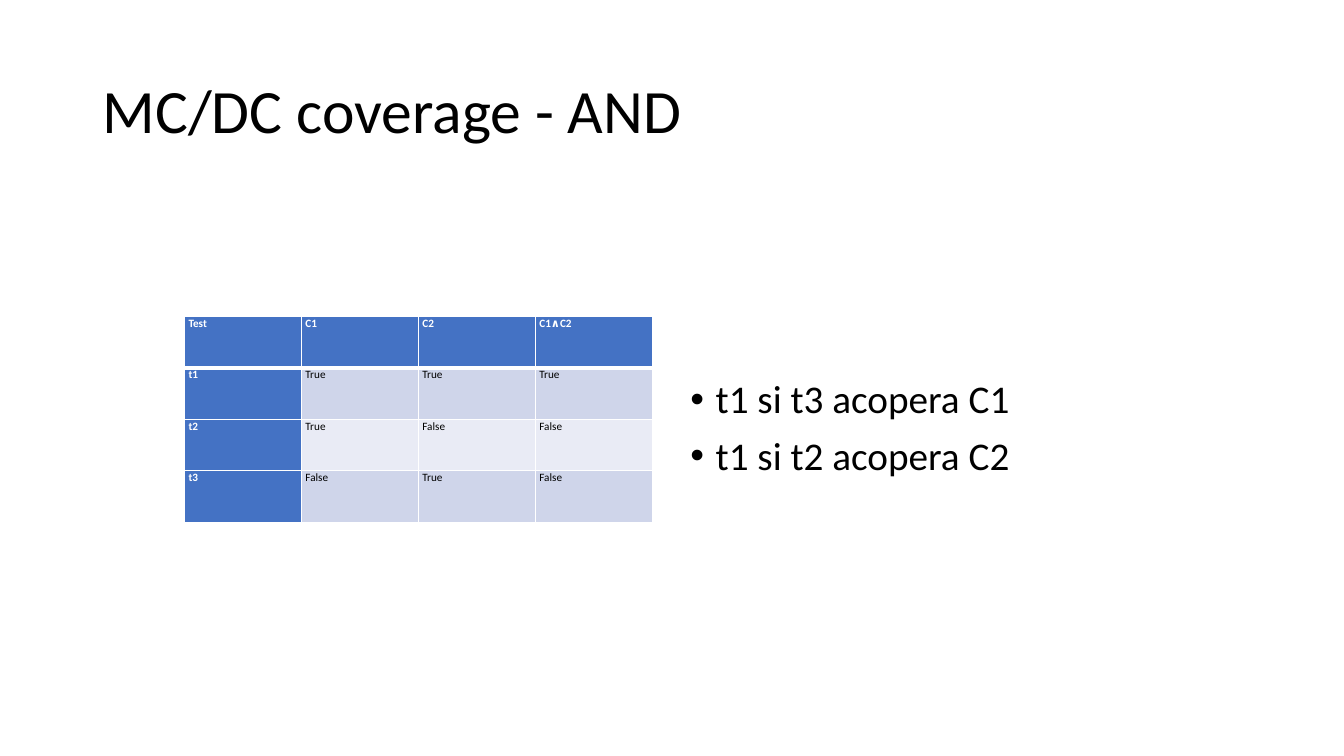
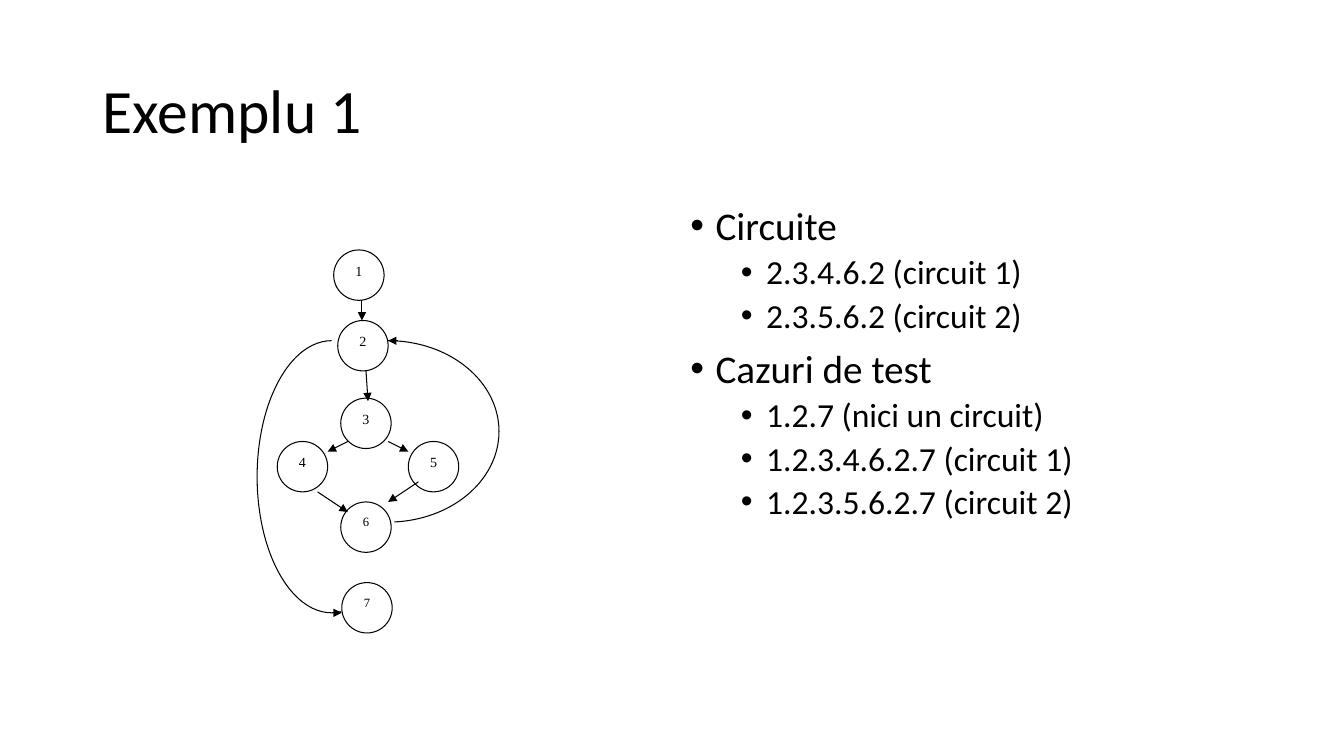
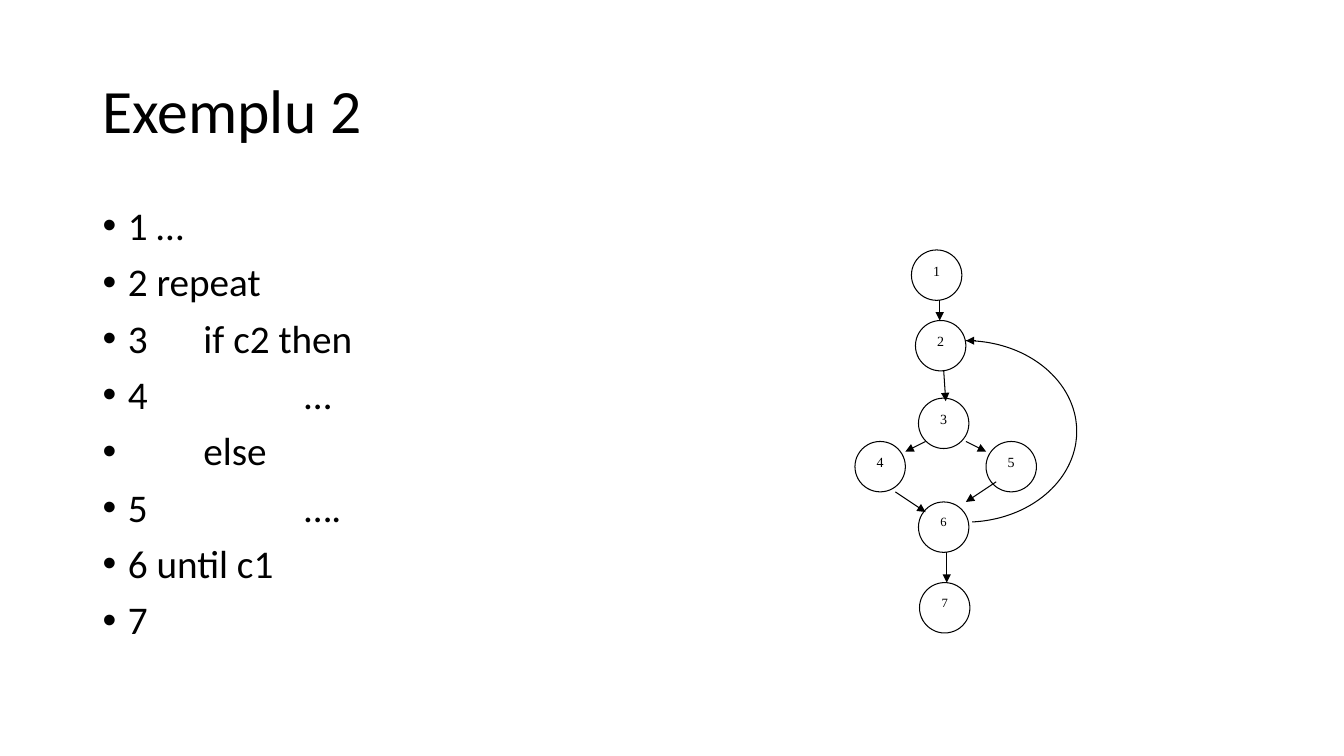
from lxml import etree
from pptx import Presentation
from pptx.dml.color import RGBColor
from pptx.enum.shapes import MSO_CONNECTOR as Connector, MSO_SHAPE as Preset
from pptx.enum.text import MSO_ANCHOR as Anchor, PP_ALIGN as Align
from pptx.oxml.ns import qn
from pptx.util import Inches, Pt

COLORS = {
    "text": "000000",
    "paper": "FFFFFF",
    "header": "4472C4",
    "band_odd": "CFD5EA",
    "band_even": "E9EBF5",
}
BODY_FONT, NODE_FONT = "Calibri", "Times New Roman"
LEFT_COLUMN, RIGHT_COLUMN = 0.92, 6.75
BODY_TOP, BODY_BOTTOM, COLUMN_WIDTH = 2, 6.76, 5.67

# Bullet level: text size, left indent, space before
LEVELS = [(28, 0.25, 10), (24, 0.75, 5)]

# Control flow graph, in inches from its top left corner
GRAPH_TOP, NODE_SIZE = 2.48, 0.5
NODES = {
    "1": (0.76, 0, 10),
    "2": (0.8, 0.7, 10),
    "3": (0.83, 1.47, 10),
    "4": (0.2, 1.9, 10),
    "5": (1.5, 1.9, 10),
    "6": (0.83, 2.5, 9),
    "7": (0.84, 3.3, 9),
}
EDGES = [
    (1.04, 0.5, 1.04, 0.7),
    (1.08, 1.2, 1.1, 1.5),
    (0.9, 1.9, 0.7, 2),
    (1.3, 1.9, 1.5, 2),
    (0.6, 2.4, 0.9, 2.6),
    (1.6, 2.3, 1.3, 2.5),
]
# Box of the full ellipse, start and end angle, then the arrow tip
LOOP_6_TO_2 = ((0.2, 0.9, 2.2, 1.8), (270, 86), (1.4, 0.9, 1.3, 0.9))
LOOP_2_TO_7 = ((0, 0.9, 1.48, 2.7), (86, 270), (0.74, 3.6, 0.84, 3.6))
EDGE_6_TO_7 = (1.11, 3, 1.11, 3.3)


def color(name):
    return RGBColor.from_string(COLORS[name])


def add_text(paragraph, text, size, font=BODY_FONT, ink="text", bold=False):
    run = paragraph.add_run()
    run.text = text
    run.font.size = Pt(size)
    run.font.name = font
    run.font.bold = bold
    run.font.color.rgb = color(ink)


def add_frame(slide, left, top, width, height):
    box = slide.shapes.add_textbox(*map(Inches, (left, top, width, height)))
    box.text_frame.word_wrap = True
    return box.text_frame


def add_titled_slide(prs, title):
    slide = prs.slides.add_slide(prs.slide_layouts[6])
    frame = add_frame(slide, LEFT_COLUMN, 0.4, 11.5, 1.45)
    frame.vertical_anchor = Anchor.MIDDLE
    heading = frame.paragraphs[0]
    heading.line_spacing = 0.9
    add_text(heading, title, 44)
    return slide


def add_bullets(slide, left, items, top=BODY_TOP):
    """Items are (level, text) pairs."""
    frame = add_frame(slide, left, top, COLUMN_WIDTH, BODY_BOTTOM - top)
    for index, (level, text) in enumerate(items):
        item = frame.add_paragraph() if index else frame.paragraphs[0]
        size, indent, space = LEVELS[level]
        item.level = level
        item.line_spacing = 0.9
        item.space_before = Pt(space)
        props = item._p.get_or_add_pPr()
        props.set("marL", str(Inches(indent)))
        props.set("indent", str(Inches(-0.25)))
        props.set("defTabSz", str(Inches(1)))
        etree.SubElement(props, qn("a:buFont"), typeface="Arial")
        etree.SubElement(props, qn("a:buChar"), char="•")
        add_text(item, text, size)


def set_borders(cell, widths):
    """Widths in points for the left, right, top and bottom border."""
    props = cell._tc.get_or_add_tcPr()
    for index, (side, width) in enumerate(zip("LRTB", widths)):
        border = etree.Element(qn(f"a:ln{side}"), w=str(Pt(width)))
        fill = etree.SubElement(border, qn("a:solidFill"))
        etree.SubElement(fill, qn("a:srgbClr"), val=COLORS["paper"])
        props.insert(index, border)


def add_truth_table(slide, left, top, rows):
    column_width, row_height = Inches(1.16), Inches(0.51)
    count = len(rows[0])
    table = slide.shapes.add_table(
        len(rows), count, Inches(left), Inches(top),
        column_width * count, row_height * len(rows)).table
    for r, values in enumerate(rows):
        for c, value in enumerate(values):
            heading = r == 0 or c == 0
            band = "band_odd" if r % 2 else "band_even"
            cell = table.cell(r, c)
            cell.margin_left = cell.margin_right = Inches(0.04)
            cell.margin_top = cell.margin_bottom = 0
            cell.fill.solid()
            cell.fill.fore_color.rgb = color("header" if heading else band)
            set_borders(cell, (1, 1, 3 if r == 1 else 1, 3 if r == 0 else 1))
            add_text(cell.text_frame.paragraphs[0], value, 8,
                     ink="paper" if heading else "text", bold=heading)


def draw_outline(shape):
    shape.line.color.rgb = color("text")
    shape.line.width = Pt(0.75)


def add_node(slide, left, top, label, size):
    node = slide.shapes.add_shape(
        Preset.OVAL, Inches(left), Inches(top),
        Inches(NODE_SIZE), Inches(NODE_SIZE))
    node.shadow.inherit = False
    node.fill.solid()
    node.fill.fore_color.rgb = color("paper")
    draw_outline(node)
    node.text_frame.vertical_anchor = Anchor.TOP
    paragraph = node.text_frame.paragraphs[0]
    paragraph.alignment = Align.CENTER
    add_text(paragraph, label, size, NODE_FONT)


def add_arrow(slide, left, edge):
    x1, y1, x2, y2 = edge
    arrow = slide.shapes.add_connector(
        Connector.STRAIGHT, Inches(left + x1), Inches(GRAPH_TOP + y1),
        Inches(left + x2), Inches(GRAPH_TOP + y2))
    draw_outline(arrow)
    etree.SubElement(arrow.line._get_or_add_ln(), qn("a:tailEnd"),
                     type="triangle")
    etree.SubElement(arrow._element.spPr, qn("a:effectLst"))


def add_loop(slide, left, loop):
    (x, y, width, height), angles, tip = loop
    arc = slide.shapes.add_shape(
        Preset.ARC, Inches(left + x), Inches(GRAPH_TOP + y),
        Inches(width), Inches(height))
    # An angle unit is 1/60000 degree; adjustments count in 100000 units
    for index, angle in enumerate(angles):
        arc.adjustments[index] = angle * 0.6
    arc.shadow.inherit = False
    arc.fill.background()
    draw_outline(arc)
    add_arrow(slide, left, tip)


def add_flow_graph(slide, left, loops, extra_edges=()):
    for label, (x, y, size) in NODES.items():
        add_node(slide, left + x, GRAPH_TOP + y, label, size)
    for loop in loops:
        add_loop(slide, left, loop)
    for edge in [*EDGES, *extra_edges]:
        add_arrow(slide, left, edge)


def main():
    prs = Presentation()
    prs.slide_width, prs.slide_height = Inches(13.33), Inches(7.5)

    coverage = add_titled_slide(prs, "MC/DC coverage - AND")
    add_truth_table(coverage, 1.83, 3.14, [
        ("Test", "C1", "C2", "C1∧C2"),
        ("t1", "True", "True", "True"),
        ("t2", "True", "False", "False"),
        ("t3", "False", "True", "False"),
    ])
    add_bullets(coverage, RIGHT_COLUMN, [
        (0, "t1 si t3 acopera C1"),
        (0, "t1 si t2 acopera C2"),
    ], top=3.72)

    circuits = add_titled_slide(prs, "Exemplu 1")
    add_bullets(circuits, RIGHT_COLUMN, [
        (0, "Circuite"),
        (1, "2.3.4.6.2 (circuit 1)"),
        (1, "2.3.5.6.2 (circuit 2)"),
        (0, "Cazuri de test"),
        (1, "1.2.7 (nici un circuit)"),
        (1, "1.2.3.4.6.2.7 (circuit 1)"),
        (1, "1.2.3.5.6.2.7 (circuit 2)"),
    ])
    add_flow_graph(circuits, 2.55, [LOOP_6_TO_2, LOOP_2_TO_7])

    repeat_until = add_titled_slide(prs, "Exemplu 2")
    code = ["1 …", "2 repeat", "3\tif c2 then", "4\t\t…", "\telse",
            "5\t\t….", "6 until c1", "7"]
    add_bullets(repeat_until, LEFT_COLUMN, [(0, line) for line in code])
    add_flow_graph(repeat_until, 8.28, [LOOP_6_TO_2], [EDGE_6_TO_7])

    prs.save("out.pptx")


if __name__ == "__main__":
    main()
